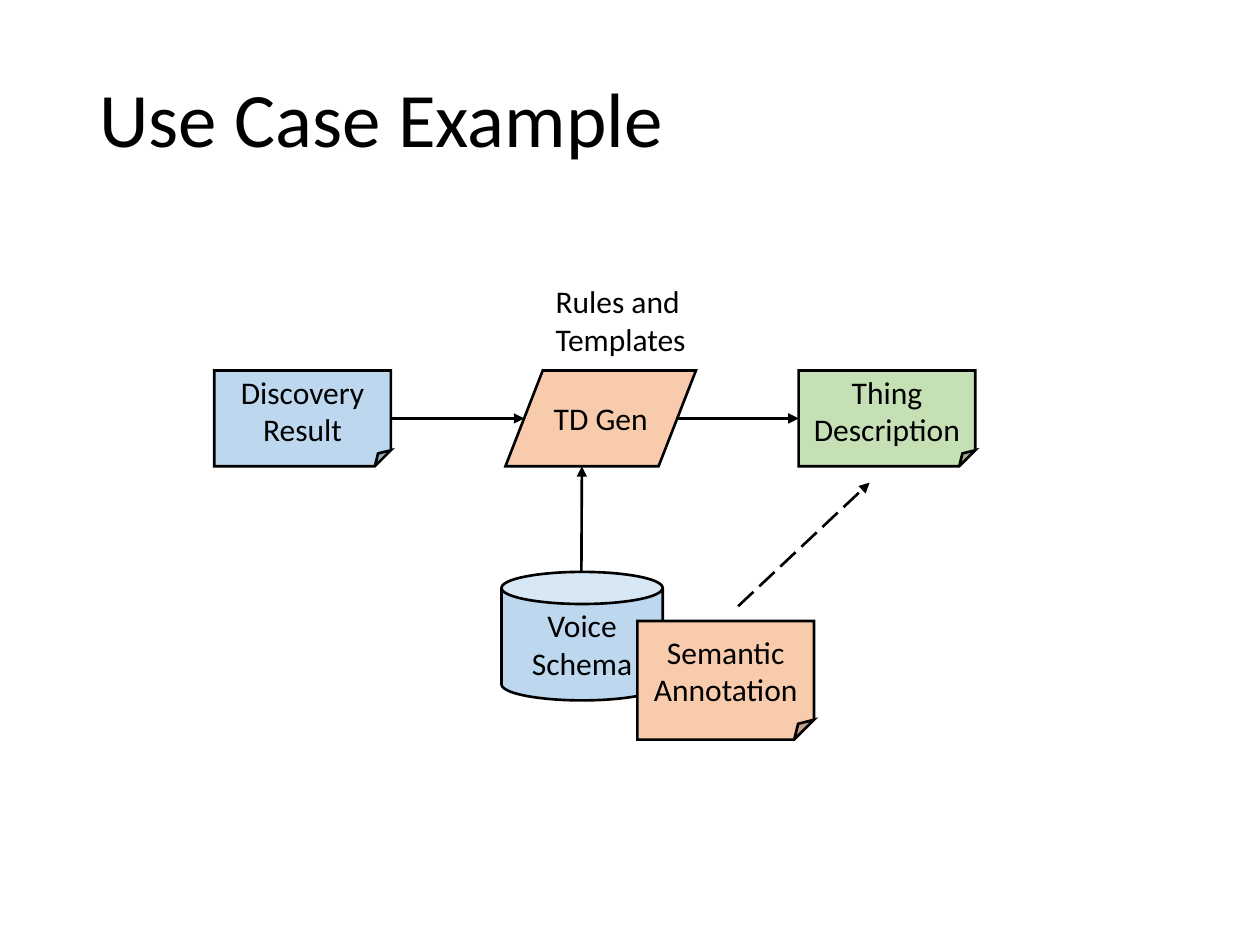
"""Build the use case slide: a flow from discovery result to thing description."""
from dataclasses import dataclass

from lxml.etree import SubElement
from pptx import Presentation
from pptx.dml.color import RGBColor
from pptx.enum.dml import MSO_LINE
from pptx.enum.shapes import MSO_CONNECTOR, MSO_SHAPE
from pptx.enum.text import MSO_ANCHOR, PP_ALIGN
from pptx.oxml.ns import qn
from pptx.slide import Slide
from pptx.text.text import TextFrame
from pptx.util import Cm, Pt

BLACK = RGBColor(0x00, 0x00, 0x00)
BLUE = RGBColor(0xBD, 0xD7, 0xEE)
PEACH = RGBColor(0xF8, 0xCB, 0xAD)
GREEN = RGBColor(0xC5, 0xE0, 0xB4)
FONT = "Calibri"
TOP, HIGH, WIDE = 7.47, 1.93, 3.56
MID = TOP + HIGH / 2


@dataclass
class Node:
    kind: MSO_SHAPE
    text: str
    fill: RGBColor
    left: float
    top: float = TOP
    width: float = WIDE
    height: float = HIGH
    skew: float | None = None


@dataclass
class Arrow:
    start: tuple[float, float]
    end: tuple[float, float]
    dashed: bool = False


NODES = [
    Node(MSO_SHAPE.PARALLELOGRAM, "TD Gen", PEACH, 10.19, width=3.84, skew=0.39),
    Node(MSO_SHAPE.CAN, "Voice Schema", BLUE, 10.11, 11.53, 3.25, 2.59),
    Node(MSO_SHAPE.FOLDED_CORNER, "Semantic Annotation", PEACH, 12.85, 12.52, height=2.39),
    Node(MSO_SHAPE.FOLDED_CORNER, "Thing Description", GREEN, 16.1),
    Node(MSO_SHAPE.FOLDED_CORNER, "Discovery Result", BLUE, 4.32),
]
ARROWS = [
    Arrow((11.72, 11.53), (11.73, TOP + HIGH)),
    Arrow((4.32 + WIDE, MID), (10.57, MID)),
    Arrow((13.67, MID), (16.1, MID)),
    Arrow((14.88, 12.22), (17.53, 9.73), dashed=True),
]


def write(frame: TextFrame, text: str, size: float, align: PP_ALIGN, anchor: MSO_ANCHOR) -> None:
    """Put one formatted run into a text frame."""
    frame.word_wrap = True
    frame.vertical_anchor = anchor
    para = frame.paragraphs[0]
    para.alignment = align
    run = para.add_run()
    run.text = text
    run.font.name = FONT
    run.font.size = Pt(size)
    run.font.color.rgb = BLACK


def draw_node(slide: Slide, node: Node) -> None:
    """Draw one filled and labelled shape."""
    box = map(Cm, (node.left, node.top, node.width, node.height))
    shape = slide.shapes.add_shape(node.kind, *box)
    if node.skew is not None:
        shape.adjustments[0] = node.skew
    shape.shadow.inherit = False
    shape.fill.solid()
    shape.fill.fore_color.rgb = node.fill
    shape.line.color.rgb = BLACK
    shape.line.width = Pt(1.5)
    SubElement(shape.line._get_or_add_ln(), qn("a:miter"), lim="800000")
    write(shape.text_frame, node.text, 18, PP_ALIGN.CENTER, MSO_ANCHOR.MIDDLE)


def draw_arrow(slide: Slide, arrow: Arrow) -> None:
    """Draw one straight arrow with a triangle at its end."""
    ends = map(Cm, (*arrow.start, *arrow.end))
    link = slide.shapes.add_connector(MSO_CONNECTOR.STRAIGHT, *ends)
    link.line.color.rgb = BLACK
    link.line.width = Pt(1.5)
    if arrow.dashed:
        link.line.dash_style = MSO_LINE.LONG_DASH
    SubElement(link.line._get_or_add_ln(), qn("a:tailEnd"), type="triangle")
    SubElement(link._element.spPr, qn("a:effectLst"))


def main() -> None:
    """Build and save the deck."""
    deck = Presentation()
    deck.slide_width, deck.slide_height = Cm(25.4), Cm(19.05)
    slide = deck.slides.add_slide(deck.slide_layouts[5])
    title = slide.shapes.title
    title.left, title.top, title.width, title.height = map(Cm, (1.75, 0.64, 21.9, 3.68))
    write(title.text_frame, "Use Case Example", 44, PP_ALIGN.LEFT, MSO_ANCHOR.MIDDLE)
    title.text_frame.paragraphs[0].line_spacing = 0.9
    for arrow in ARROWS:
        draw_arrow(slide, arrow)
    for node in NODES:
        draw_node(slide, node)
    label = slide.shapes.add_textbox(*map(Cm, (10.95, 5.56, 3.38, 1.8)))
    write(label.text_frame, "Rules and Templates", 18, PP_ALIGN.LEFT, MSO_ANCHOR.TOP)
    deck.save("out.pptx")


if __name__ == "__main__":
    main()
